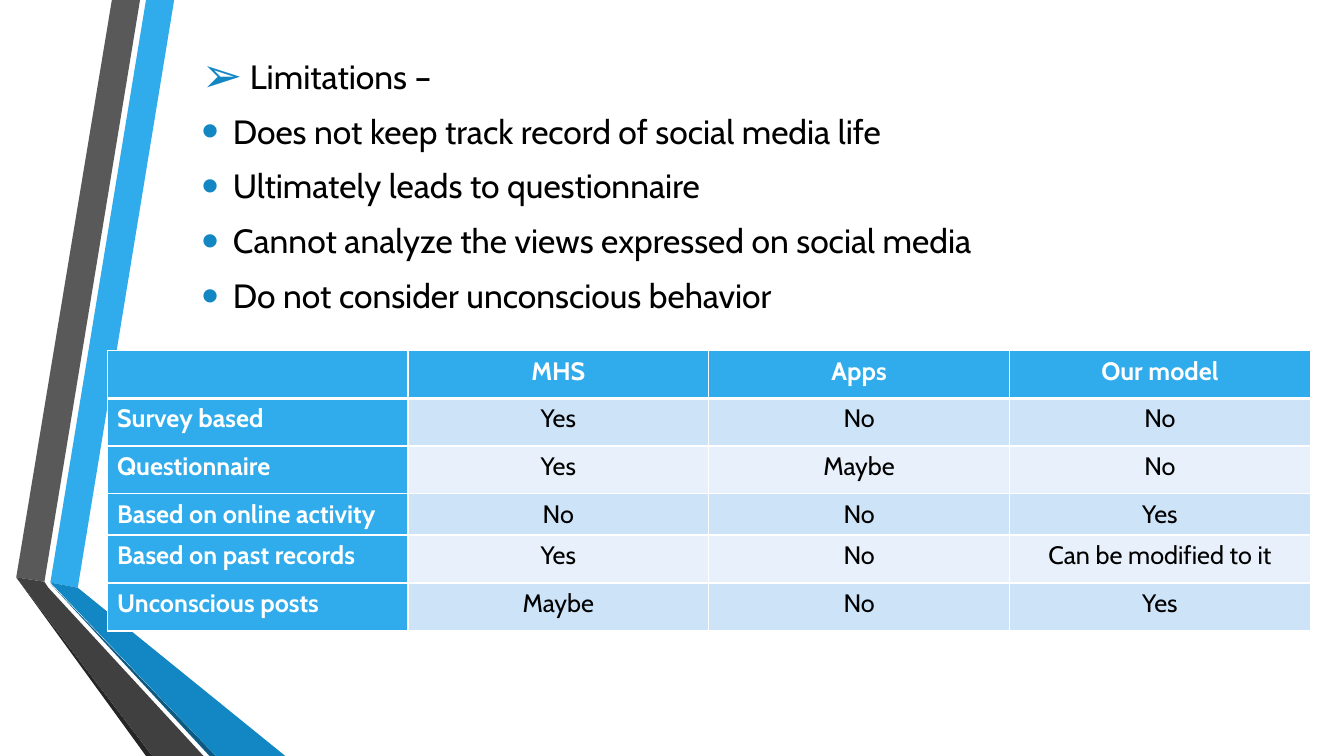
"""Build the slide on limitations with its comparison table."""
from dataclasses import dataclass

import lxml.etree
import pptx
import pptx.dml.color
import pptx.enum.text
import pptx.oxml.ns
import pptx.util

Cm = pptx.util.Cm
Pt = pptx.util.Pt
qn = pptx.oxml.ns.qn

FONT = "Cabin"
SKY, BLUE, WHITE, BLACK = "30ACEC", "1287C3", "FFFFFF", "000000"
BANDS = ("CDE3F8", "E8F1FB")


@dataclass
class Ribbon:
    color: str
    corners: list[tuple[float, float]]


@dataclass
class Point:
    text: str
    bullet: str = "•"
    indent: float = 0.79


RIBBONS = [
    Ribbon(SKY, [(1.27, 14.68), (1.96, 14.81), (4.39, 0), (3.68, 0)]),
    Ribbon("595959", [(3.53, 0), (2.82, 0), (0.41, 14.55), (1.12, 14.66)]),
    Ribbon("262626", [(0.41, 14.55), (3.68, 19.05), (3.84, 19.05)]),
    Ribbon("0C5A82", [(1.27, 14.71), (5.28, 19.05), (5.44, 19.05)]),
    Ribbon(BLUE, [(1.27, 14.68), (5.44, 19.05), (7.19, 19.05), (1.96, 14.81)]),
    Ribbon("404040", [(5.13, 19.05), (1.22, 14.81), (1.12, 14.66),
                      (0.41, 14.55), (3.84, 19.05)]),
]
POINTS = [
    Point(" Limitations –", "➢", 0),
    Point("Does not keep track record of social media life"),
    Point("Ultimately leads to questionnaire"),
    Point("Cannot analyze the views expressed on social media"),
    Point("Do not consider unconscious behavior"),
]
COMPARISON = [
    ("", "MHS", "Apps", "Our model"),
    ("Survey based", "Yes", "No", "No"),
    ("Questionnaire", "Yes", "Maybe", "No"),
    ("Based on online activity", "No", "No", "Yes"),
    ("Based on past records", "Yes", "No", "Can be modified to it"),
    ("Unconscious posts", "Maybe", "No", "Yes"),
]
ROW_HEIGHTS = (1.2, 1.2, 1.2, 1.04, 1.21, 1.21)
COLUMN_WIDTH = 7.58


def rgb(color: str) -> pptx.dml.color.RGBColor:
    """Turn a hex string into a colour."""
    return pptx.dml.color.RGBColor.from_string(color)


def add_run(paragraph, text: str, size: int, color: str, bold: bool = False) -> None:
    """Append one formatted run."""
    run = paragraph.add_run()
    run.text = text
    run.font.name = FONT
    run.font.size = Pt(size)
    run.font.bold = bold
    run.font.color.rgb = rgb(color)


def draw_ribbon(slide, ribbon: Ribbon) -> None:
    """Draw one filled band of the side decoration."""
    start, *others = [(Cm(x), Cm(y)) for x, y in ribbon.corners]
    builder = slide.shapes.build_freeform(*start)
    builder.add_line_segments(others, close=True)
    band = builder.convert_to_shape()
    band.shadow.inherit = False
    band.fill.solid()
    band.fill.fore_color.rgb = rgb(ribbon.color)
    band.line.fill.background()


def add_point(paragraph, point: Point) -> None:
    """Fill a paragraph with a bulleted point."""
    paragraph.space_before = Pt(4.4)
    paragraph.space_after = Pt(6)
    properties = paragraph._p.get_or_add_pPr()
    properties.set("marL", str(Cm(point.indent)))
    properties.set("indent", str(-Cm(point.indent)))
    tint = lxml.etree.SubElement(properties, qn("a:buClr"))
    lxml.etree.SubElement(tint, qn("a:srgbClr"), val=BLUE)
    lxml.etree.SubElement(properties, qn("a:buSzPct"), val="145000")
    lxml.etree.SubElement(properties, qn("a:buFont"), typeface="Arial")
    lxml.etree.SubElement(properties, qn("a:buChar"), char=point.bullet)
    add_run(paragraph, point.text, 24, BLACK)


def draw_points(slide) -> None:
    """Place the list of limitations."""
    limitations = slide.shapes.add_textbox(Cm(4.83), Cm(1.32), Cm(27.84), Cm(8.2))
    frame = limitations.text_frame
    frame.word_wrap = True
    frame.margin_top = Cm(0.08)
    frame.vertical_anchor = pptx.enum.text.MSO_ANCHOR.TOP
    for index, point in enumerate(POINTS):
        add_point(frame.add_paragraph() if index else frame.paragraphs[0], point)


def set_borders(cell, widths: dict[str, int]) -> None:
    """Give a cell white borders of the given widths in points."""
    properties = cell._tc.get_or_add_tcPr()
    for position, (side, width) in enumerate(widths.items()):
        border = lxml.etree.Element(qn(f"a:ln{side}"), w=str(Pt(width)))
        fill = lxml.etree.SubElement(border, qn("a:solidFill"))
        lxml.etree.SubElement(fill, qn("a:srgbClr"), val=WHITE)
        properties.insert(position, border)


def draw_comparison(slide) -> None:
    """Place the table that compares the approaches."""
    columns = len(COMPARISON[0])
    table = slide.shapes.add_table(
        len(COMPARISON), columns, Cm(2.7), Cm(8.84),
        Cm(COLUMN_WIDTH * columns), Cm(sum(ROW_HEIGHTS))).table
    for column in table.columns:
        column.width = Cm(COLUMN_WIDTH)
    for row, (height, answers) in enumerate(zip(ROW_HEIGHTS, COMPARISON)):
        table.rows[row].height = Cm(height)
        for column, answer in enumerate(answers):
            cell = table.cell(row, column)
            heading = row == 0 or column == 0
            cell.fill.solid()
            cell.fill.fore_color.rgb = rgb(SKY if heading else BANDS[(row - 1) % 2])
            set_borders(cell, {"L": 1, "R": 1, "T": 3 if row == 1 else 1,
                               "B": 3 if row == 0 else 1})
            paragraph = cell.text_frame.paragraphs[0]
            if column:
                paragraph.alignment = pptx.enum.text.PP_ALIGN.CENTER
            if answer:
                add_run(paragraph, answer, 18, WHITE if heading else BLACK, heading)


def main() -> None:
    """Build and save the presentation."""
    deck = pptx.Presentation()
    deck.slide_width, deck.slide_height = Cm(33.87), Cm(19.05)
    slide = deck.slides.add_slide(deck.slide_layouts[6])
    for ribbon in RIBBONS:
        draw_ribbon(slide, ribbon)
    draw_points(slide)
    draw_comparison(slide)
    deck.save("out.pptx")


main()
